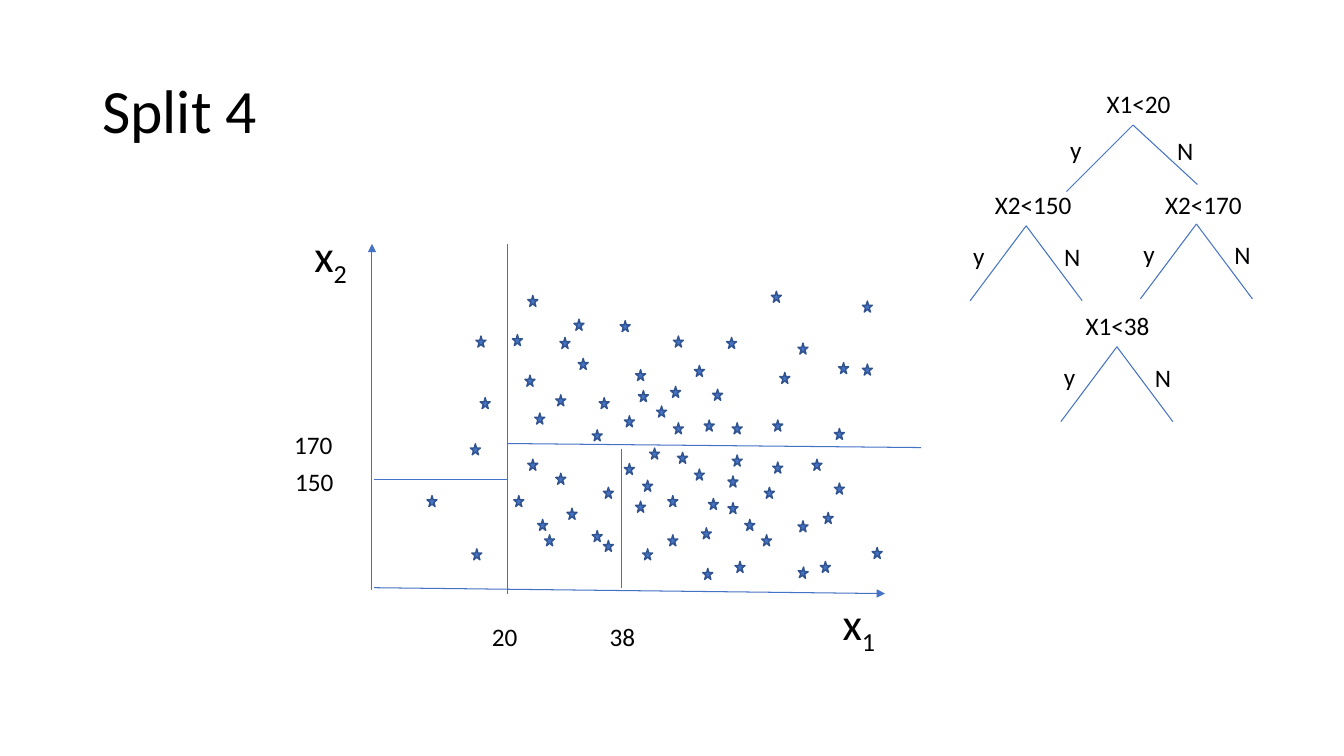
from lxml.etree import SubElement
from pptx import Presentation
from pptx.dml.color import RGBColor
from pptx.enum.shapes import MSO_CONNECTOR, MSO_SHAPE
from pptx.enum.text import MSO_ANCHOR
from pptx.oxml.ns import qn
from pptx.util import Pt

COLORS = {"blue": "4472C4", "outline": "31538F", "text": "000000"}
FONT = "Calibri"
LABEL_HEIGHT = 29

# Left and top of each star, grouped by the region it falls in
STARS = {
    "x1 < 20, x2 > 150": [(340, 240), (336, 317), (343, 284)],
    "x1 < 20, x2 < 150": [(305, 354), (337, 392)],
    "x1 > 20, x2 > 170": [
        (410, 228), (366, 239), (375, 268), (377, 211), (423, 307), (479, 276),
        (446, 297), (552, 300), (400, 241), (413, 256), (454, 264), (428, 284),
        (496, 261), (397, 282), (616, 215), (443, 229), (481, 240), (382, 295),
        (503, 300), (509, 278), (456, 279), (523, 302), (616, 260), (596, 306),
        (469, 290), (519, 241), (481, 302), (570, 245), (551, 208), (557, 266),
        (599, 259),
    ],
    "20 < x1 < 38, x2 < 170": [
        (397, 338), (389, 382), (367, 354), (405, 363), (377, 328), (384, 371),
        (431, 386), (423, 379), (431, 348),
    ],
    "x1 > 38, x2 < 170": [
        (484, 323), (454, 358), (477, 354), (496, 335), (523, 325), (552, 330),
        (446, 331), (623, 391), (477, 382), (580, 328), (501, 377), (459, 343),
        (520, 359), (546, 348), (586, 401), (464, 320), (532, 371), (596, 345),
        (502, 406), (588, 366), (525, 401), (459, 392), (520, 340), (506, 356),
        (544, 382), (570, 372),
    ],
}
TILTED_STAR = (570, 405)


def color(name):
    return RGBColor.from_string(COLORS[name])


def add_text(slide, text, left, top, width, height=LABEL_HEIGHT, size=18, subscript=""):
    box = slide.shapes.add_textbox(Pt(left), Pt(top), Pt(width), Pt(height))
    box.text_frame.word_wrap = True
    paragraph = box.text_frame.paragraphs[0]
    paragraph.font.size = Pt(size)
    paragraph.font.name = FONT
    paragraph.font.color.rgb = color("text")
    paragraph.add_run().text = text
    if subscript:
        run = paragraph.add_run()
        run.text = subscript
        run._r.get_or_add_rPr().set("baseline", "-25000")
    return box


def add_title(slide, text):
    box = add_text(slide, text, 66, 28.8, 828, 104.4, size=44)
    box.text_frame.vertical_anchor = MSO_ANCHOR.MIDDLE
    box.text_frame.paragraphs[0].line_spacing = 0.9


def add_line(slide, start, end, arrow=False):
    points = [Pt(value) for value in (*start, *end)]
    connector = slide.shapes.add_connector(MSO_CONNECTOR.STRAIGHT, *points)
    connector.line.color.rgb = color("blue")
    connector.line.width = Pt(0.75)
    properties = connector._element.spPr
    if arrow:
        SubElement(properties.find(qn("a:ln")), qn("a:tailEnd"), type="triangle")
    SubElement(properties, qn("a:effectLst"))


def add_star(slide, left, top, rotation=0):
    star = slide.shapes.add_shape(
        MSO_SHAPE.STAR_5_POINT, Pt(left), Pt(top), Pt(7.2), Pt(7.9))
    star.rotation = rotation
    star.shadow.inherit = False
    star.fill.solid()
    star.fill.fore_color.rgb = color("blue")
    star.line.color.rgb = color("outline")
    star.line.width = Pt(1)


def add_split(slide, condition, apex, label=(-29.5, -29.5), yes_end=(-40, 53.5),
              no_end=(40, 53.5), yes=(-45, 6.5), no=(20, 7.5)):
    """Add a tree node; every offset is measured from the apex of its branches."""
    def from_apex(offset):
        return apex[0] + offset[0], apex[1] + offset[1]

    add_text(slide, condition, *from_apex(label), 80.6)
    for text, text_offset, end in (("y", yes, yes_end), ("N", no, no_end)):
        add_line(slide, apex, from_apex(end))
        add_text(slide, text, *from_apex(text_offset), 30.2)


def add_plot(slide):
    add_line(slide, (265.7, 421.2), (265.7, 174.2), arrow=True)
    add_line(slide, (267, 419.8), (632.2, 424), arrow=True)
    for region in STARS.values():
        for left, top in region:
            add_star(slide, left, top)
    add_star(slide, *TILTED_STAR, rotation=6.8)

    add_text(slide, "x", 217.4, 159.1, 49.7, 46, size=32, subscript="2")
    add_text(slide, "x", 594.7, 421.9, 49.7, 46, size=32, subscript="1")

    add_line(slide, (362.2, 174.2), (362.2, 424))
    add_line(slide, (362.2, 316.8), (658, 319.7))
    add_line(slide, (444.2, 320.4), (444.2, 419.8))
    add_line(slide, (362.2, 342.7), (267, 342.7))

    add_text(slide, "170", 203, 303.1, 56.2)
    add_text(slide, "150", 203.8, 329.8, 53.3)
    add_text(slide, "20", 344.2, 440.6, 48.2)
    add_text(slide, "38", 428.4, 440.6, 33.1)


def add_tree(slide):
    add_split(slide, "X1<20", (809.3, 89.3), label=(-26, -29.5), yes_end=(-47.5, 47.5),
              no_end=(46, 42.5), yes=(-52, 3), no=(24.5, 3.5))
    add_split(slide, "X2<150", (733, 161.3))
    add_split(slide, "X2<170", (854.6, 160), label=(-29.5, -28.2))
    add_split(slide, "X1<38", (797.8, 247.7))


def main():
    presentation = Presentation()
    presentation.slide_width = Pt(960)
    presentation.slide_height = Pt(540)
    slide = presentation.slides.add_slide(presentation.slide_layouts[6])
    add_title(slide, "Split 4")
    add_plot(slide)
    add_tree(slide)
    presentation.save("out.pptx")


if __name__ == "__main__":
    main()
